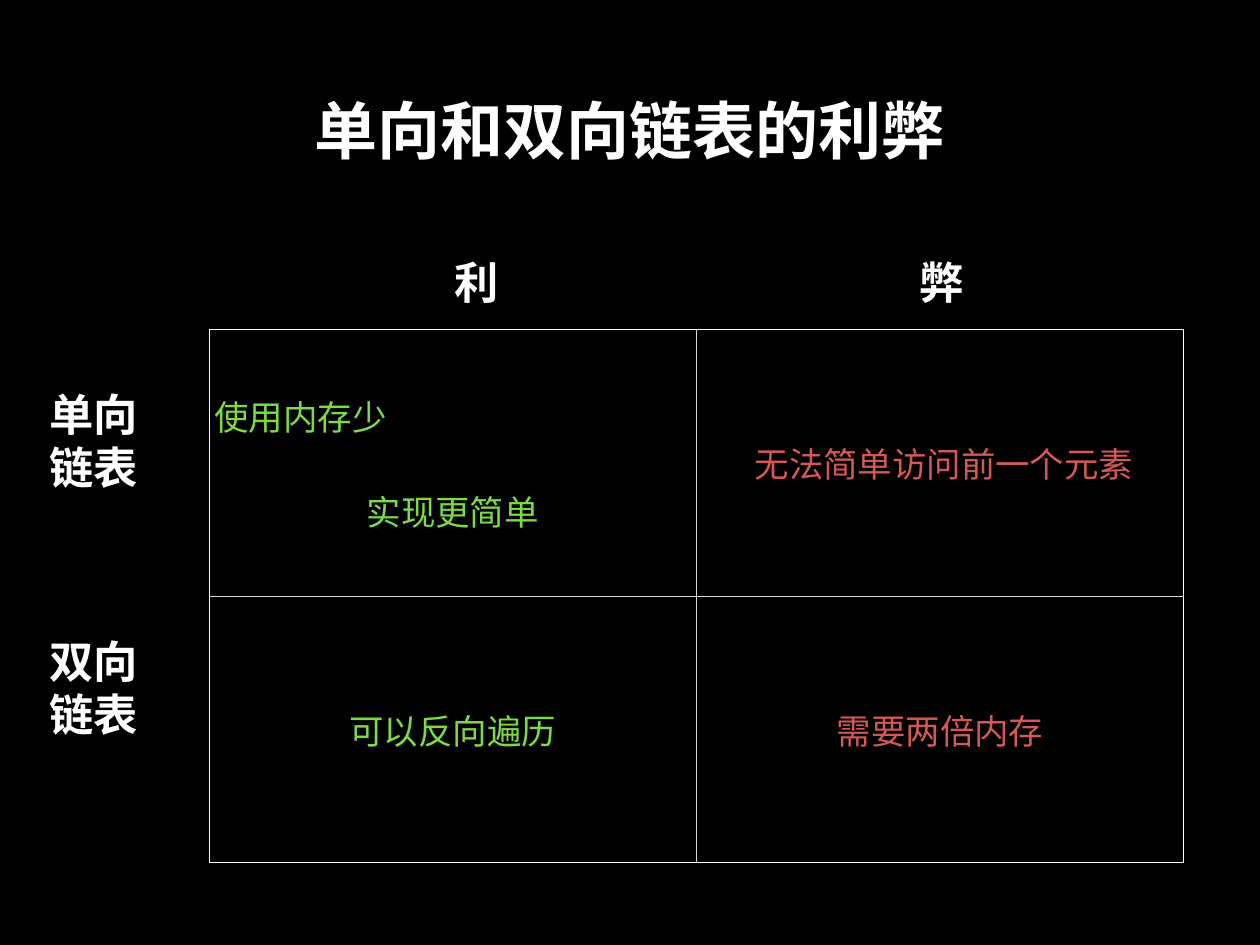
import pptx
import pptx.dml.color
import pptx.enum.text
import pptx.oxml
import pptx.oxml.ns
import pptx.util

COLORS = {"back": "000000", "text": "FFFFFF", "frame": "FFFFFF",
          "divider": "D6D7D6", "pro": "7BDB45", "con": "D45854"}
ALIGN = pptx.enum.text.PP_ALIGN
MIDDLE = pptx.enum.text.MSO_ANCHOR.MIDDLE
FIT = pptx.enum.text.MSO_AUTO_SIZE
INCH = pptx.util.Inches

PAGE_W, PAGE_H = 14.22, 10.67
MARGIN = 0.06
TABLE_LEFT, TABLE_TOP = 2.36, 3.72
COLUMN_W, ROW_H = 5.5, 3.01
# Label grid: first label position and step along each axis
HEADER_LEFT, HEADER_TOP, HEADER_STEP = 5.07, 2.82, 5.25
SIDE_LEFT, SIDE_TOP, SIDE_STEP = 0.49, 4.31, 2.79

HEADERS = ["利", "弊"]
SIDES = [["单向", "链表"], ["双向", "链表"]]
CELLS = [[["使用内存少", "实现更简单"], [" 无法简单访问前一个元素"]],
         [["可以反向遍历"], ["需要两倍内存"]]]


def rgb(name):
    return pptx.dml.color.RGBColor.from_string(COLORS[name])


def set_margins(target):
    for side in ("left", "top", "right", "bottom"):
        setattr(target, f"margin_{side}", INCH(MARGIN))


def write_lines(frame, lines, font, size, color, bold=False):
    """Fill a text frame with one centred paragraph per line."""
    for index, line in enumerate(lines):
        para = frame.paragraphs[0] if index == 0 else frame.add_paragraph()
        para.text = line
        para.alignment = ALIGN.CENTER
        para.font.name = font
        para.font.size = pptx.util.Pt(size)
        para.font.bold = bold
        para.font.color.rgb = rgb(color)


def add_title(page, text):
    title = page.shapes.title
    title.left, title.top = INCH(1.04), INCH(0.28)
    title.width, title.height = INCH(12.14), INCH(2.36)
    frame = title.text_frame
    frame.auto_size = FIT.NONE
    frame.vertical_anchor = MIDDLE
    set_margins(frame)
    write_lines(frame, [text], "Courier New", 51.2, "text", bold=True)


def add_label(page, left, top, width, height, lines):
    box = page.shapes.add_textbox(INCH(left), INCH(top), INCH(width), INCH(height))
    frame = box.text_frame
    frame.word_wrap = False
    frame.auto_size = FIT.SHAPE_TO_FIT_TEXT
    frame.vertical_anchor = MIDDLE
    set_margins(frame)
    write_lines(frame, lines, "Arial", 36, "text", bold=True)


def set_borders(cell, row, column):
    """White on the table's outside, grey between its cells."""
    outside = {"lnL": column == 0, "lnR": column == 1,
               "lnT": row == 0, "lnB": row == 1}
    properties = cell._tc.get_or_add_tcPr()
    for position, (tag, is_outside) in enumerate(outside.items()):
        color = COLORS["frame" if is_outside else "divider"]
        properties.insert(position, pptx.oxml.parse_xml(
            f'<a:{tag} {pptx.oxml.ns.nsdecls("a")} w="12700"><a:solidFill>'
            f'<a:srgbClr val="{color}"/></a:solidFill></a:{tag}>'))


def add_comparison(page):
    table = page.shapes.add_table(
        2, 2, INCH(TABLE_LEFT), INCH(TABLE_TOP),
        INCH(2 * COLUMN_W), INCH(2 * ROW_H)).table
    table.first_row = False
    table.horz_banding = False
    for row, entries in enumerate(CELLS):
        for column, lines in enumerate(entries):
            cell = table.cell(row, column)
            cell.fill.background()
            cell.vertical_anchor = MIDDLE
            set_margins(cell)
            write_lines(cell.text_frame, lines, "Courier New", 28,
                        ("pro", "con")[column])
            set_borders(cell, row, column)
    # The first advantage stands at the left, one line above the second
    first, second = table.cell(0, 0).text_frame.paragraphs
    first.alignment = ALIGN.LEFT
    second.space_before = pptx.util.Pt(36.5)


def main():
    deck = pptx.Presentation()
    deck.slide_width, deck.slide_height = INCH(PAGE_W), INCH(PAGE_H)
    page = deck.slides.add_slide(deck.slide_layouts[5])
    page.background.fill.solid()
    page.background.fill.fore_color.rgb = rgb("back")

    # Title and table
    add_title(page, "单向和双向链表的利弊")
    add_comparison(page)

    # Column and row labels
    for index, header in enumerate(HEADERS):
        add_label(page, HEADER_LEFT + index * HEADER_STEP, HEADER_TOP,
                  0.62, 0.72, [header])
    for index, lines in enumerate(SIDES):
        add_label(page, SIDE_LEFT, SIDE_TOP + index * SIDE_STEP,
                  1.13, 1.32, lines)

    deck.save("out.pptx")


if __name__ == "__main__":
    main()
